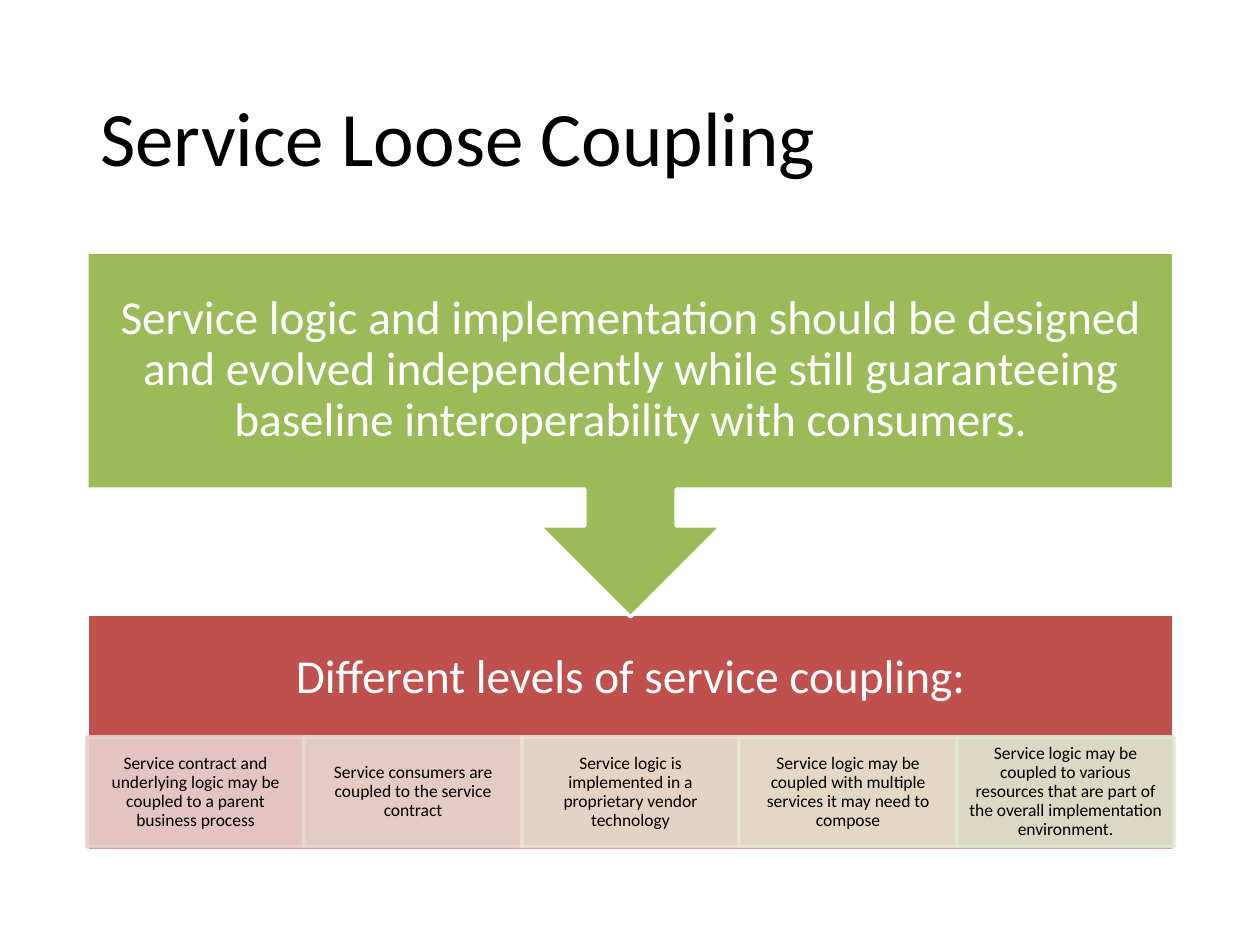
"""Build the Service Loose Coupling slide."""
from dataclasses import dataclass

import pptx
import pptx.dml.color
import pptx.enum.shapes
import pptx.enum.text
import pptx.oxml.ns
import pptx.util
from lxml import etree

EMU_PER_PX = 914400 / 126
FONT = "Calibri"
COLORS = {
    "panel": "C0504D",
    "callout": "9BBB59",
    "light": "FFFFFF",
    "dark": "000000",
}
LEFT, WIDTH = 87, 1087
LEVEL_TOP, LEVEL_HEIGHT = 737, 110
LEVEL_OPACITY = 90


@dataclass(frozen=True)
class Box:
    left: int
    top: int
    width: int
    height: int

    def emu(self) -> tuple[int, ...]:
        return tuple(px(n) for n in (self.left, self.top, self.width, self.height))


@dataclass(frozen=True)
class TextStyle:
    size: int
    color: str
    inset_x: int
    inset_y: int
    align: pptx.enum.text.PP_ALIGN = pptx.enum.text.PP_ALIGN.CENTER


@dataclass(frozen=True)
class Level:
    text: str
    tint: str


TITLE = TextStyle(44, COLORS["dark"], 13, 6, pptx.enum.text.PP_ALIGN.LEFT)
HEADING = TextStyle(27, COLORS["light"], 26, 26)
DETAIL = TextStyle(10, COLORS["dark"], 10, 1)
LEVELS = [
    Level("Service contract and underlying logic may be coupled to a parent business process", "E8D0D0"),
    Level("Service consumers are coupled to the service contract", "E8D9D0"),
    Level("Service logic is implemented in a proprietary vendor technology", "E8E1D1"),
    Level("Service logic may be coupled with multiple services it may need to compose", "E6E7D1"),
    Level("Service logic may be coupled to various resources that are part of "
          "the overall implementation environment.", "DEE7D1"),
]


def px(length: int) -> int:
    return round(length * EMU_PER_PX)


def rgb(color: str) -> pptx.dml.color.RGBColor:
    return pptx.dml.color.RGBColor.from_string(color)


def write_text(shape, text: str, style: TextStyle) -> None:
    frame = shape.text_frame
    frame.word_wrap = True
    frame.auto_size = pptx.enum.text.MSO_AUTO_SIZE.NONE
    frame.vertical_anchor = pptx.enum.text.MSO_ANCHOR.MIDDLE
    frame.margin_left = frame.margin_right = px(style.inset_x)
    frame.margin_top = frame.margin_bottom = px(style.inset_y)
    paragraph = frame.paragraphs[0]
    paragraph.alignment = style.align
    paragraph.line_spacing = 0.9
    paragraph.space_before = pptx.util.Pt(0)
    run = paragraph.add_run()
    run.text = text
    run.font.name = FONT
    run.font.size = pptx.util.Pt(style.size)
    run.font.color.rgb = rgb(style.color)


def add_text(slide, box: Box, text: str, style: TextStyle) -> None:
    write_text(slide.shapes.add_textbox(*box.emu()), text, style)


def add_block(slide, kind, box: Box, fill: str, line: str, opacity: int = 100):
    shape = slide.shapes.add_shape(kind, *box.emu())
    shape.shadow.inherit = False
    shape.fill.solid()
    shape.fill.fore_color.rgb = rgb(fill)
    shape.line.color.rgb = rgb(line)
    shape.line.width = pptx.util.Pt(2)
    if opacity < 100:
        properties = shape.fill._xPr
        for color in properties.iter(pptx.oxml.ns.qn("a:srgbClr")):
            alpha = etree.SubElement(color, pptx.oxml.ns.qn("a:alpha"))
            alpha.set("val", str(opacity * 1000))
    return shape


def add_levels(slide) -> None:
    edges = [LEFT + round(WIDTH * i / len(LEVELS)) for i in range(len(LEVELS) + 1)]
    for level, left, right in zip(LEVELS, edges, edges[1:]):
        box = Box(left, LEVEL_TOP, right - left, LEVEL_HEIGHT)
        shape = add_block(slide, pptx.enum.shapes.MSO_SHAPE.RECTANGLE, box,
                          level.tint, level.tint, LEVEL_OPACITY)
        write_text(shape, level.text, DETAIL)


def main() -> None:
    presentation = pptx.Presentation()
    presentation.slide_width, presentation.slide_height = px(1260), px(945)
    slide = presentation.slides.add_slide(presentation.slide_layouts[5])

    title = slide.shapes.title
    title.left, title.top, title.width, title.height = Box(LEFT, 50, WIDTH, 183).emu()
    write_text(title, "Service Loose Coupling", TITLE)

    add_block(slide, pptx.enum.shapes.MSO_SHAPE.RECTANGLE, Box(LEFT, 614, WIDTH, 237),
              COLORS["panel"], COLORS["light"])
    add_text(slide, Box(LEFT, 614, WIDTH, 128),
             "Different levels of service coupling:", HEADING)
    add_levels(slide)

    callout = add_block(slide, pptx.enum.shapes.MSO_SHAPE.UP_ARROW_CALLOUT,
                        Box(LEFT, 252, WIDTH, 365), COLORS["callout"], COLORS["light"])
    callout.rotation = 180
    add_text(slide, Box(LEFT, 252, WIDTH, 237),
             "Service logic and implementation should be designed and evolved independently "
             "while still guaranteeing baseline interoperability with consumers.", HEADING)

    presentation.save("out.pptx")


if __name__ == "__main__":
    main()
